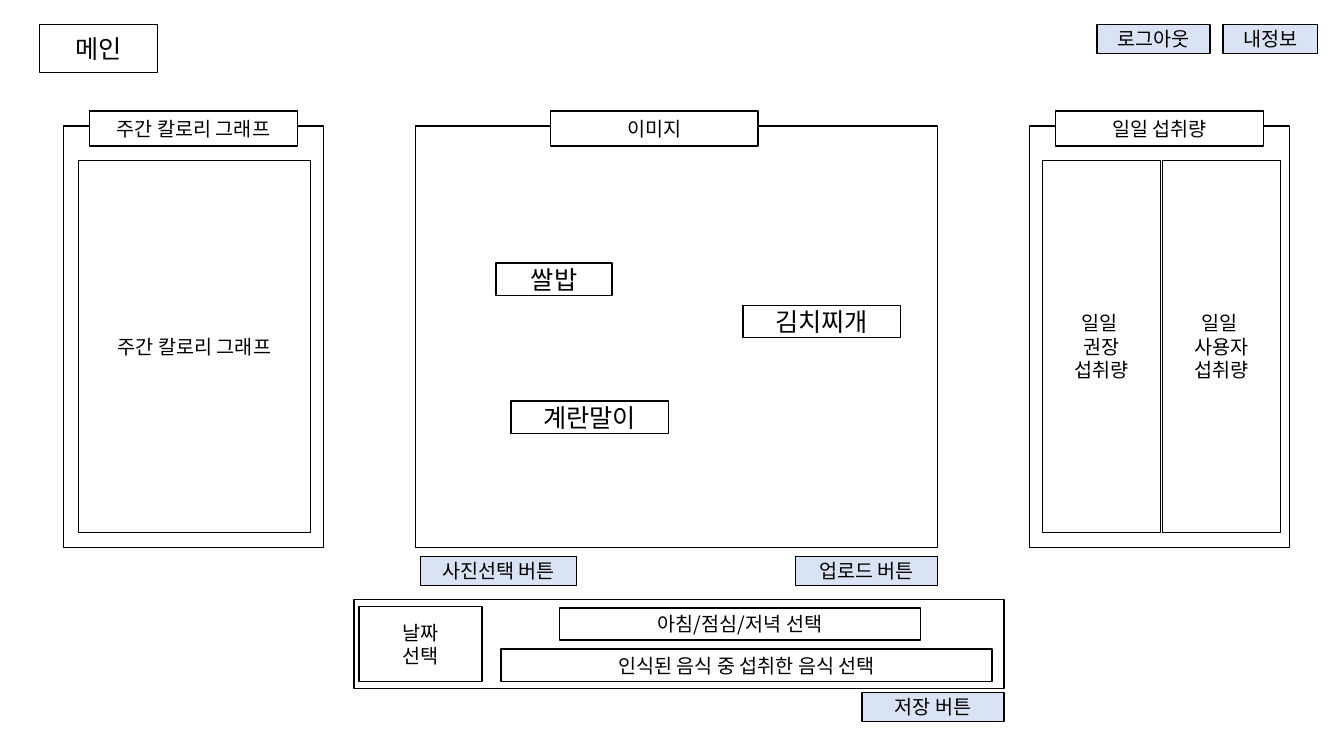
from lxml import etree
from pptx import Presentation
from pptx.dml.color import RGBColor
from pptx.enum.shapes import MSO_SHAPE as SHAPE
from pptx.enum.text import MSO_ANCHOR as ANCHOR, MSO_AUTO_SIZE as AUTO, PP_ALIGN as ALIGN
from pptx.oxml.ns import qn
from pptx.util import Inches, Pt

FONT = "Noto Sans CJK KR"
BLACK = RGBColor(0x00, 0x00, 0x00)
WHITE = RGBColor(0xFF, 0xFF, 0xFF)
PALE_BLUE = RGBColor(0xDA, 0xE3, 0xF3)

# Content: boxes are (text, left, top, width, height)
TITLE = ("메인", 0.39, 0.24, 1.17, 0.48)

# Panels: header text, frame left, frame width, header left, inner boxes, text size
PANEL_TOP, PANEL_H = 1.25, 4.18
HEADER_TOP, HEADER_W, HEADER_H = 1.1, 2.06, 0.35
INNER_TOP, INNER_H = 1.59, 3.69
PANELS = [
    ("일일 섭취량", 10.21, 2.58, 10.47, [
        ("일일 \n권장\n섭취량", 10.34, INNER_TOP, 1.17, INNER_H),
        ("일일 \n사용자\n섭취량", 11.53, INNER_TOP, 1.17, INNER_H),
    ], 14),
    ("주간 칼로리 그래프", 0.63, 2.58, 0.89, [
        ("주간 칼로리 그래프", 0.78, INNER_TOP, 2.3, INNER_H),
    ], 14),
    ("이미지", 4.12, 5.18, 5.46, [
        ("계란말이", 5.07, 3.98, 1.56, 0.32),
        ("쌀밥", 4.92, 2.61, 1.15, 0.32),
        ("김치찌개", 7.37, 3.03, 1.56, 0.32),
    ], 18),
]

MEAL_FORM = [
    ("", 3.51, 5.95, 6.45, 0.88),
    ("날짜\n선택", 3.56, 6.02, 1.22, 0.74),
    ("아침/점심/저녁 선택", 5.55, 6.03, 3.58, 0.32),
    ("인식된 음식 중 섭취한 음식 선택", 4.97, 6.44, 4.87, 0.32),
]

# Buttons: text, left, top, width
BUTTON_H = 0.29
BUTTONS = [
    ("로그아웃", 10.88, 0.24, 1.12),
    ("내정보", 12.13, 0.24, 0.94),
    ("사진선택 버튼", 4.17, 5.52, 1.55),
    ("업로드 버튼", 7.89, 5.52, 1.41),
    ("저장 버튼", 8.55, 6.87, 1.41),
]


def format_box(sp, text, size=14, fill=WHITE):
    """Outline and fill a box and centre its text."""
    sp.fill.solid()
    sp.fill.fore_color.rgb = fill
    sp.line.color.rgb = BLACK
    sp.line.width = Pt(1)
    tf = sp.text_frame
    tf.text = text
    tf.word_wrap = True
    tf.auto_size = AUTO.NONE
    tf.vertical_anchor = ANCHOR.MIDDLE
    for p in tf.paragraphs:
        p.alignment = ALIGN.CENTER
        for r in p.runs:
            r.font.size = Pt(size)
            r.font.color.rgb = BLACK
            r.font.name = FONT
            # Korean text takes the East Asian font
            etree.SubElement(r.font._element, qn("a:ea"), typeface=FONT)


def add_box(shapes, text, *place, **style):
    sp = shapes.add_shape(SHAPE.RECTANGLE, *map(Inches, place))
    sp.shadow.inherit = False
    format_box(sp, text, **style)


prs = Presentation()
prs.slide_width, prs.slide_height = Inches(13.33), Inches(7.5)
slide = prs.slides.add_slide(prs.slide_layouts[5])

# Title
title = slide.shapes.title
title.left, title.top, title.width, title.height = map(Inches, TITLE[1:])
format_box(title, TITLE[0], size=18)
title.text_frame.paragraphs[0].line_spacing = 1.0

# Panels
for header, left, width, header_left, inner, size in PANELS:
    group = slide.shapes.add_group_shape().shapes
    add_box(group, "", left, PANEL_TOP, width, PANEL_H)
    add_box(group, header, header_left, HEADER_TOP, HEADER_W, HEADER_H)
    for box in inner:
        add_box(group, *box, size=size)

# Meal form
for box in MEAL_FORM:
    add_box(slide.shapes, *box)

# Buttons
for button in BUTTONS:
    add_box(slide.shapes, *button, BUTTON_H, fill=PALE_BLUE)

prs.save("out.pptx")
